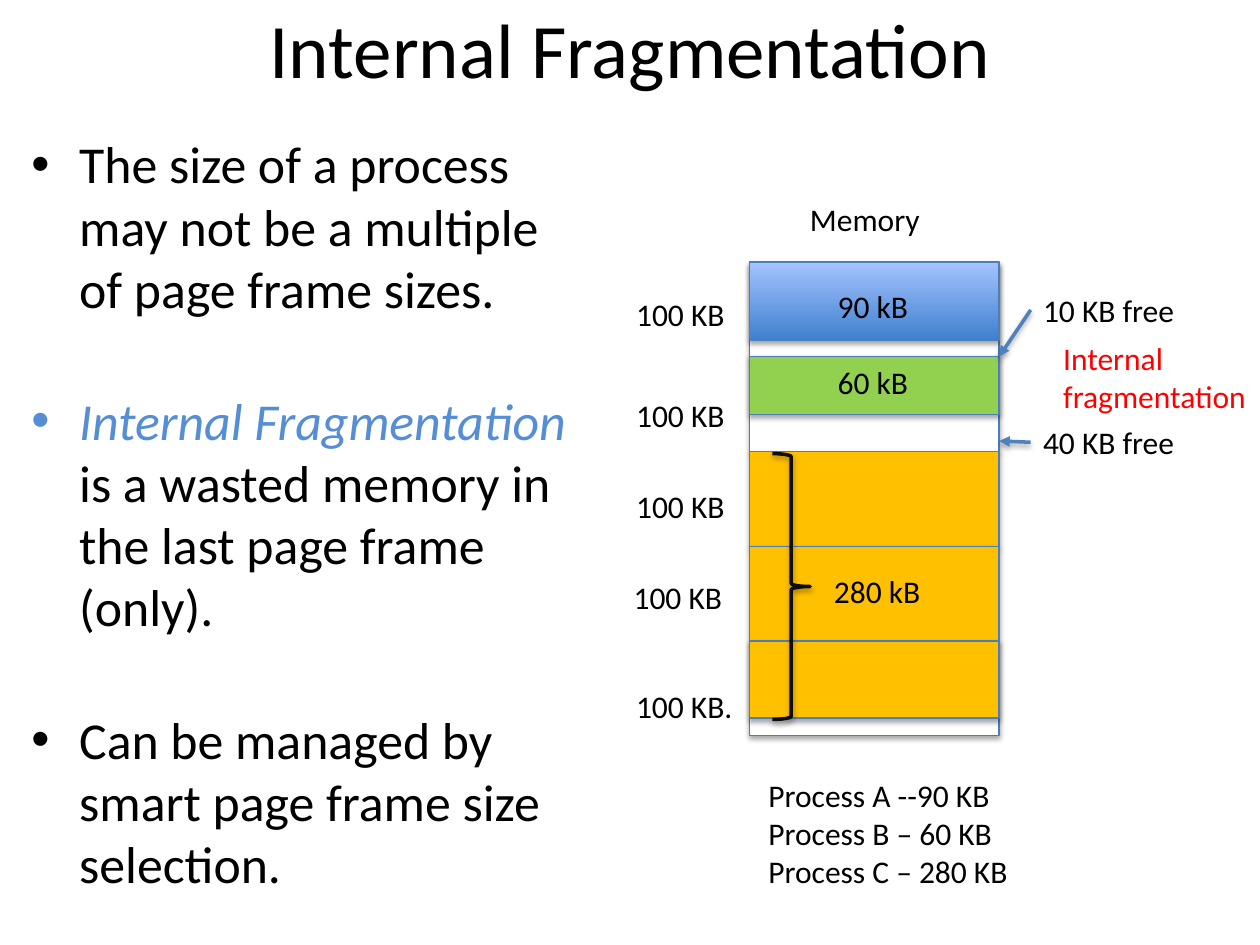
"""Build the Internal Fragmentation slide with its memory diagram."""
from lxml.etree import SubElement
from pptx import Presentation
from pptx.dml.color import RGBColor
from pptx.enum.shapes import MSO_CONNECTOR as LINK, MSO_SHAPE as PRESET
from pptx.enum.text import MSO_ANCHOR as ANCHOR, PP_ALIGN as ALIGN
from pptx.oxml.ns import qn
from pptx.util import Inches, Pt

color = RGBColor.from_string


def outline(part, line_color, width):
    """Give a part its line and its soft shadow below."""
    part.line.color.rgb = color(line_color)
    part.line.width = Pt(width)
    properties = part._element.spPr
    effects = properties.find(qn("a:effectLst"))
    if effects is None:
        effects = SubElement(properties, qn("a:effectLst"))
    shadow = SubElement(effects, qn("a:outerShdw"), blurRad=str(Pt(3.1)),
                        dist=str(Pt(1.8)), dir="5400000", rotWithShape="0")
    black = SubElement(shadow, qn("a:srgbClr"), val="000000")
    SubElement(black, qn("a:alpha"), val="35000")


def write(paragraph, words, size=18, ink="000000", italic=False):
    """Add one run of text to a paragraph."""
    run = paragraph.add_run()
    run.text = words
    run.font.name = "Calibri"
    run.font.size = Pt(size)
    run.font.italic = italic
    run.font.color.rgb = color(ink)


deck = Presentation()
deck.slide_width, deck.slide_height = Inches(10), Inches(7.5)
slide = deck.slides.add_slide(deck.slide_layouts[5])
shapes = slide.shapes

title = shapes.title
title.left, title.top = Inches(0.5), Inches(-0.25)
title.width, title.height = Inches(9), Inches(1.25)
title.text_frame.vertical_anchor = ANCHOR.MIDDLE
heading = title.text_frame.paragraphs[0]
heading.alignment = ALIGN.CENTER
write(heading, "Internal Fragmentation", 44)

points = [
    [("The size of a process may not be a multiple of page frame sizes.", "000000", False)],
    [("Internal Fragmentation ", "558ED5", True),
     ("is a wasted memory in the last page frame (only).", "000000", False)],
    [("Can be managed by smart page frame size selection.", "000000", False)],
]
body = shapes.add_textbox(Inches(0.15), Inches(1), Inches(4.49), Inches(5.7)).text_frame
body.word_wrap = True
for index, point in enumerate(points):
    paragraph = body.add_paragraph() if index else body.paragraphs[0]
    paragraph.space_after = Pt(40)
    indent = paragraph._p.get_or_add_pPr()
    indent.set("marL", str(Inches(0.38)))
    indent.set("indent", str(Inches(-0.38)))
    SubElement(indent, qn("a:buFont"), typeface="Arial")
    SubElement(indent, qn("a:buChar"), char="•")
    for words, ink, italic in point:
        write(paragraph, words, 29.6, ink, italic)

memory_left, memory_width = 5.95, 1.98
memory_right = memory_left + memory_width
memory_top, frame_height = 2.08, 3.76 / 5
frame_fills = ["FFFFFF", "FFFFFF", "FFC000", "FFC000", "FFFFFF"]
blocks = [(row, frame_height, fill) for row, fill in enumerate(frame_fills)]
blocks += [(0, 0.62, None), (1, 0.46, "92D050"), (4, 0.61, "FFC000")]
for row, height, fill in blocks:
    block = shapes.add_shape(PRESET.RECTANGLE, Inches(memory_left),
                             Inches(memory_top + row * frame_height),
                             Inches(memory_width), Inches(height))
    block.shadow.inherit = False
    if fill:
        block.fill.solid()
        block.fill.fore_color.rgb = color(fill)
    else:
        block.fill.gradient()
        block.fill.gradient_angle = 90
        for stop, (position, shade) in zip(block.fill.gradient_stops,
                                           [(0, "3F80CE"), (1, "A4C4FF")]):
            stop.position = position
            stop.color.rgb = color(shade)
    outline(block, "4B7EBC", 0.75)

brace = shapes.add_shape(PRESET.RIGHT_BRACE, Inches(6.13), Inches(3.6), Inches(0.3), Inches(2.11))
brace.shadow.inherit = False
brace.fill.background()
outline(brace, "0D0D0D", 2)

for start, end in [(2.46, 2.83), (3.51, 3.5)]:
    arrow = shapes.add_connector(LINK.STRAIGHT, Inches(8.18), Inches(start),
                                 Inches(memory_right), Inches(end))
    outline(arrow, "4F81BD", 2)
    SubElement(arrow.line._get_or_add_ln(), qn("a:tailEnd"), type="triangle")

labels = [
    (4.95, 2.29, 0.91, ["100 KB"], "000000"),
    (4.95, 3.09, 0.91, ["100 KB"], "000000"),
    (4.95, 3.82, 0.91, ["100 KB"], "000000"),
    (4.93, 4.54, 0.91, ["100 KB"], "000000"),
    (4.95, 5.4, 1, ["100 KB."], "000000"),
    (6.55, 2.23, 0.77, ["90 kB"], "000000"),
    (6.55, 2.83, 0.77, ["60 kB"], "000000"),
    (6.52, 4.49, 0.89, ["280 kB"], "000000"),
    (8.18, 2.26, 1.26, ["10 KB free"], "000000"),
    (8.18, 3.31, 1.26, ["40 KB free"], "000000"),
    (8.34, 2.64, 1.67, ["Internal", "fragmentation"], "FF0000"),
    (6, 6.11, 2.12, ["Process A --90 KB", "Process B – 60 KB", "Process C – 280 KB"], "000000"),
    (6.33, 1.54, 1.08, ["Memory"], "000000"),
]
for left, top, width, lines, ink in labels:
    label = shapes.add_textbox(Inches(left), Inches(top), Inches(width),
                               Inches(0.1 + 0.3 * len(lines))).text_frame
    label.word_wrap = False
    for index, words in enumerate(lines):
        write(label.add_paragraph() if index else label.paragraphs[0], words, ink=ink)

deck.save("out.pptx")
